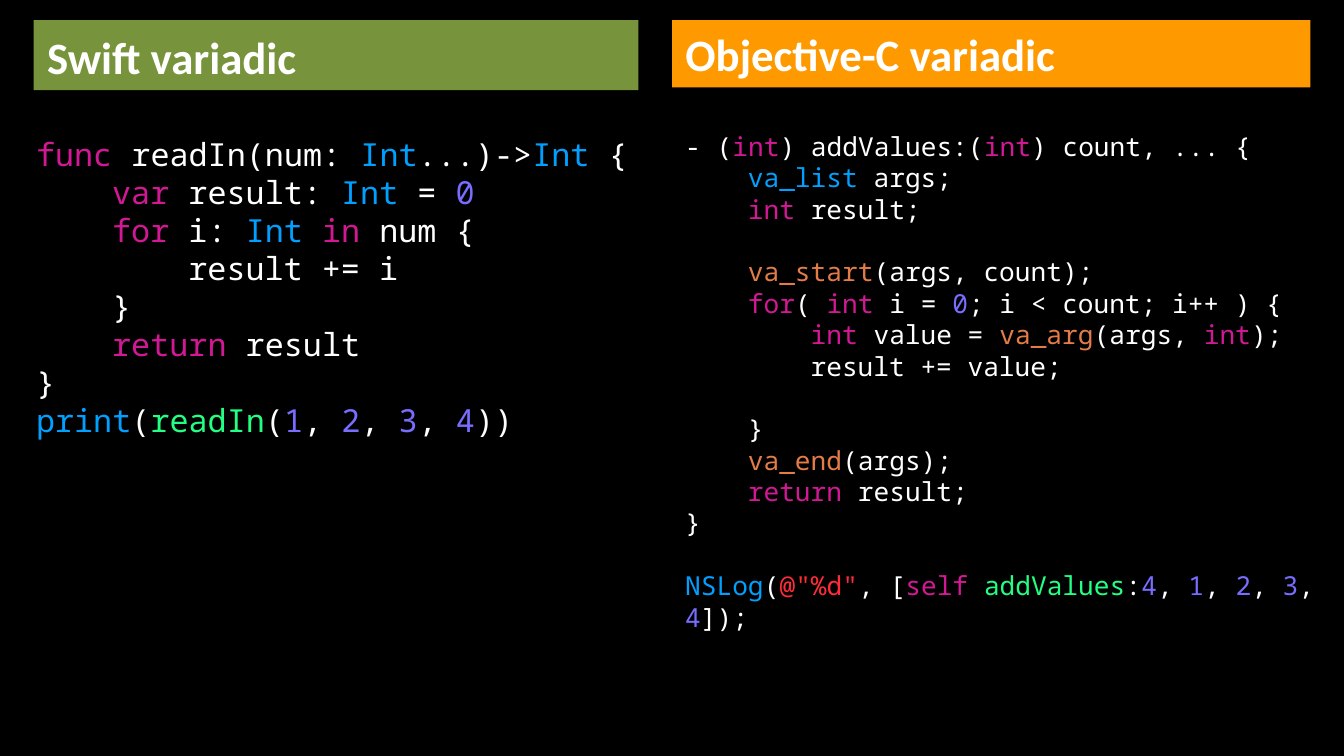
from itertools import groupby

from pptx import Presentation
from pptx.dml.color import RGBColor
from pptx.enum.text import MSO_ANCHOR, MSO_AUTO_SIZE, PP_ALIGN
from pptx.util import Inches, Pt

THEME = {
    "background": "000000", "text": "FFFFFF", "swift": "77933C", "objc": "FF9900",
    "keyword": "D31895", "type": "00A0FF", "number": "786DFF",
    "macro": "E47C48", "call": "23FF83", "string": "FF2C38",
    "heading_font": "Calibri", "code_font": "Noto Sans Mono",
    "heading_size": 24, "swift_size": 17, "objc_size": 14,
}

WORDS = {
    "keyword": "func var for in return int self",
    "type": "Int print va_list NSLog",
    "macro": "va_start va_arg va_end",
    "call": "readIn addValues",
    "string": '@"%d"',
}
ROLES = {word: role for role, words in WORDS.items() for word in words.split()}

SWIFT_CODE = """func readIn(num: Int...)->Int {
    var result: Int = 0
    for i: Int in num {
        result += i
    }
    return result
}
print(readIn(1, 2, 3, 4))"""

OBJC_CODE = """- (int) addValues:(int) count, ... {
    va_list args;
    int result;

    va_start(args, count);
    for( int i = 0; i < count; i++ ) {
        int value = va_arg(args, int);
        result += value;

    }
    va_end(args);
    return result;
}

NSLog(@"%d", [self addValues:4, 1, 2, 3, 4]);"""


def color(role):
    return RGBColor.from_string(THEME[role])


def add_code(tf, code, size):
    blank = False
    for i, line in enumerate(code.splitlines()):
        text = line.lstrip()
        if not text:
            blank = True
            continue
        p = tf.add_paragraph() if i else tf.paragraphs[0]
        p.font.name = THEME["code_font"]
        p.font.size = Pt(size)
        p.space_before = Pt(size * 1.2 if blank else 0)
        blank = False
        indent = Pt((len(line) - len(text)) * size * 0.6)
        p._p.get_or_add_pPr().set("marL", str(indent))
        for _, chars in groupby(text, lambda c: c.isalnum() or c in '_@"%'):
            token = "".join(chars)
            role = "number" if token.isdigit() else ROLES.get(token, "text")
            if role == "call" and i == 0:
                role = "text"
            r = p.add_run()
            r.text = token
            r.font.color.rgb = color(role)


prs = Presentation()
prs.slide_width = Inches(10)
prs.slide_height = Inches(10 * 9 / 16)
s = prs.slides.add_slide(prs.slide_layouts.get_by_name("Comparison"))
s.background.fill.solid()
s.background.fill.fore_color.rgb = color("background")

columns = [
    (1, "Swift variadic", "swift", (0.25, 0.15, 4.5, 0.52),
     SWIFT_CODE, (0.17, 0.95, 4.66, 2.39)),
    (3, "Objective-C variadic", "objc", (5, 0.15, 4.75, 0.5),
     OBJC_CODE, (5, 0.92, 4.92, 4.01)),
]
headings = [column[0] for column in columns]
for sp in list(s.placeholders):
    if sp.placeholder_format.idx not in headings:
        sp.element.getparent().remove(sp.element)

placeholders = {sp.placeholder_format.idx: sp for sp in s.placeholders}
for idx, heading, language, heading_box, code, code_box in columns:
    sp = placeholders[idx]
    sp.left, sp.top, sp.width, sp.height = map(Inches, heading_box)
    sp.fill.solid()
    sp.fill.fore_color.rgb = color(language)
    tf = sp.text_frame
    tf.text = heading
    tf.auto_size = MSO_AUTO_SIZE.NONE
    tf.vertical_anchor = MSO_ANCHOR.BOTTOM
    p = tf.paragraphs[0]
    p.alignment = PP_ALIGN.LEFT
    p.space_before = Pt(0)
    p.font.name = THEME["heading_font"]
    p.font.size = Pt(THEME["heading_size"])
    p.font.bold = True
    p.font.color.rgb = color("text")

    tf = s.shapes.add_textbox(*map(Inches, code_box)).text_frame
    tf.word_wrap = True
    add_code(tf, code, THEME[f"{language}_size"])

prs.save("out.pptx")
